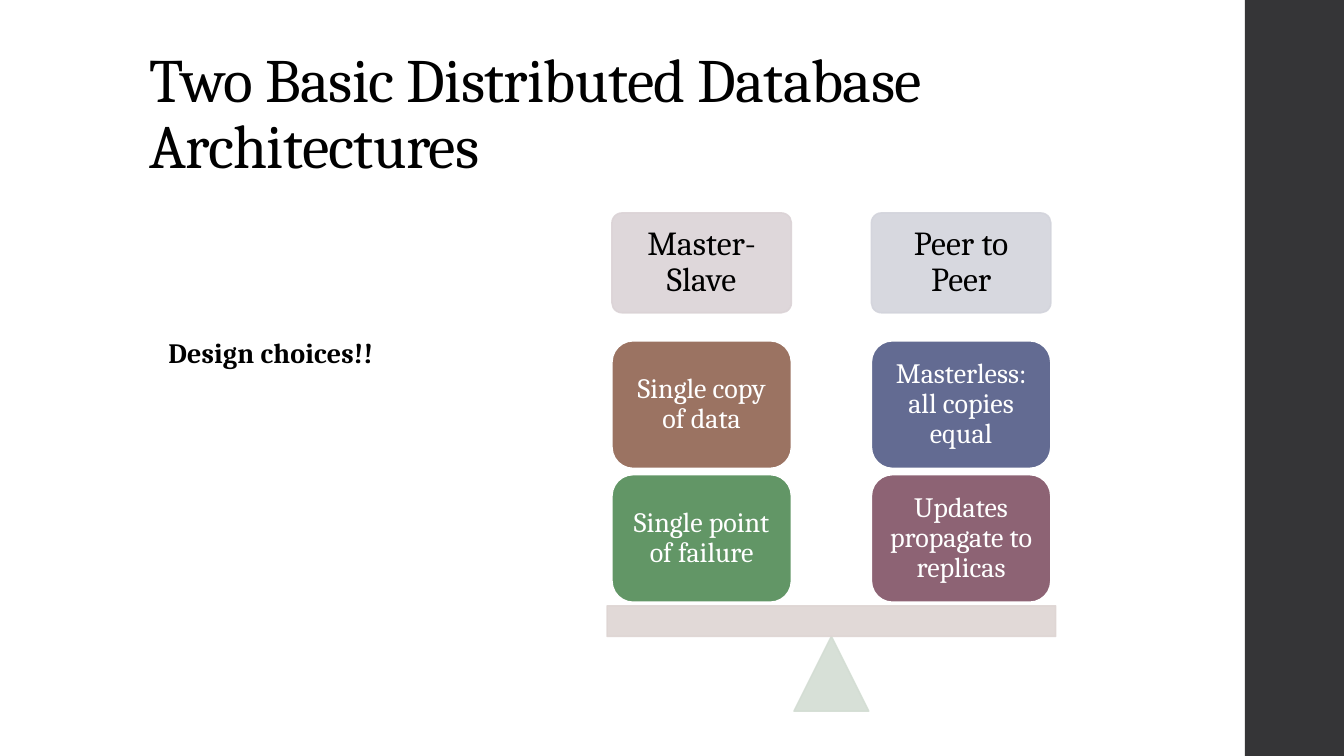
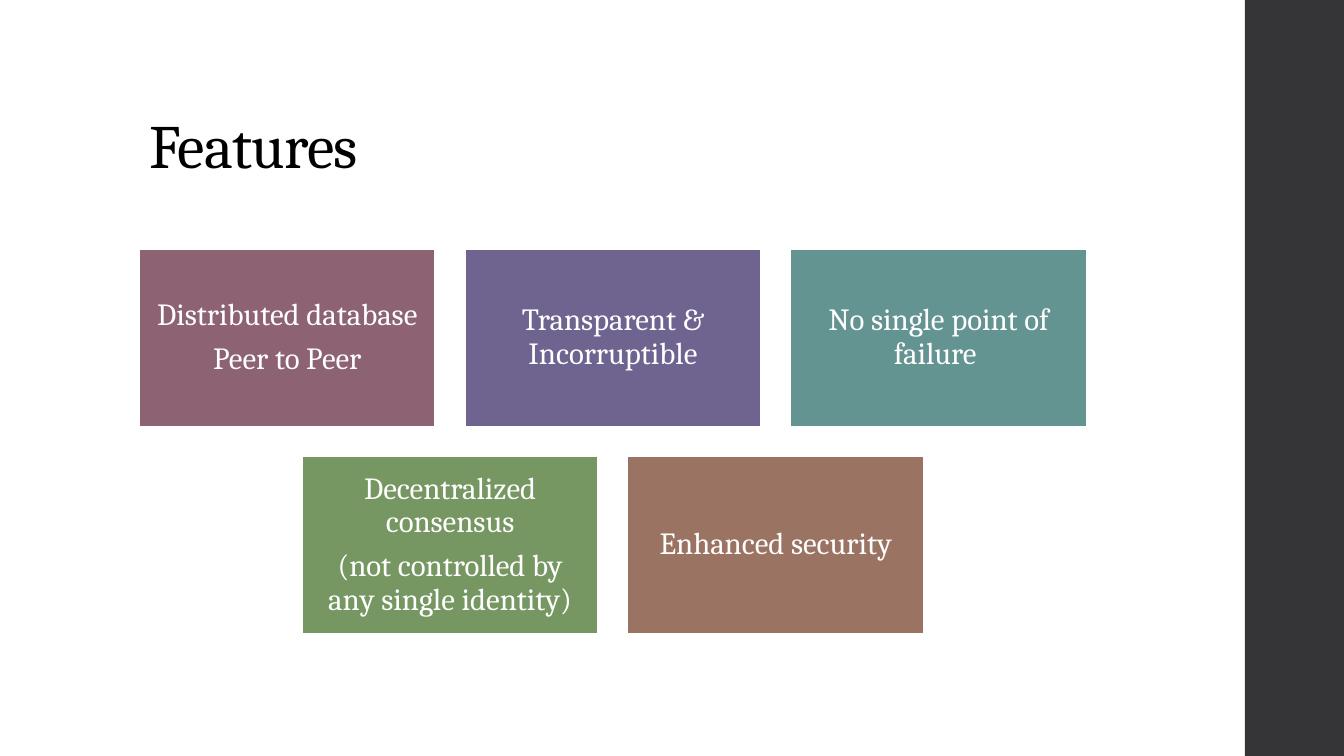
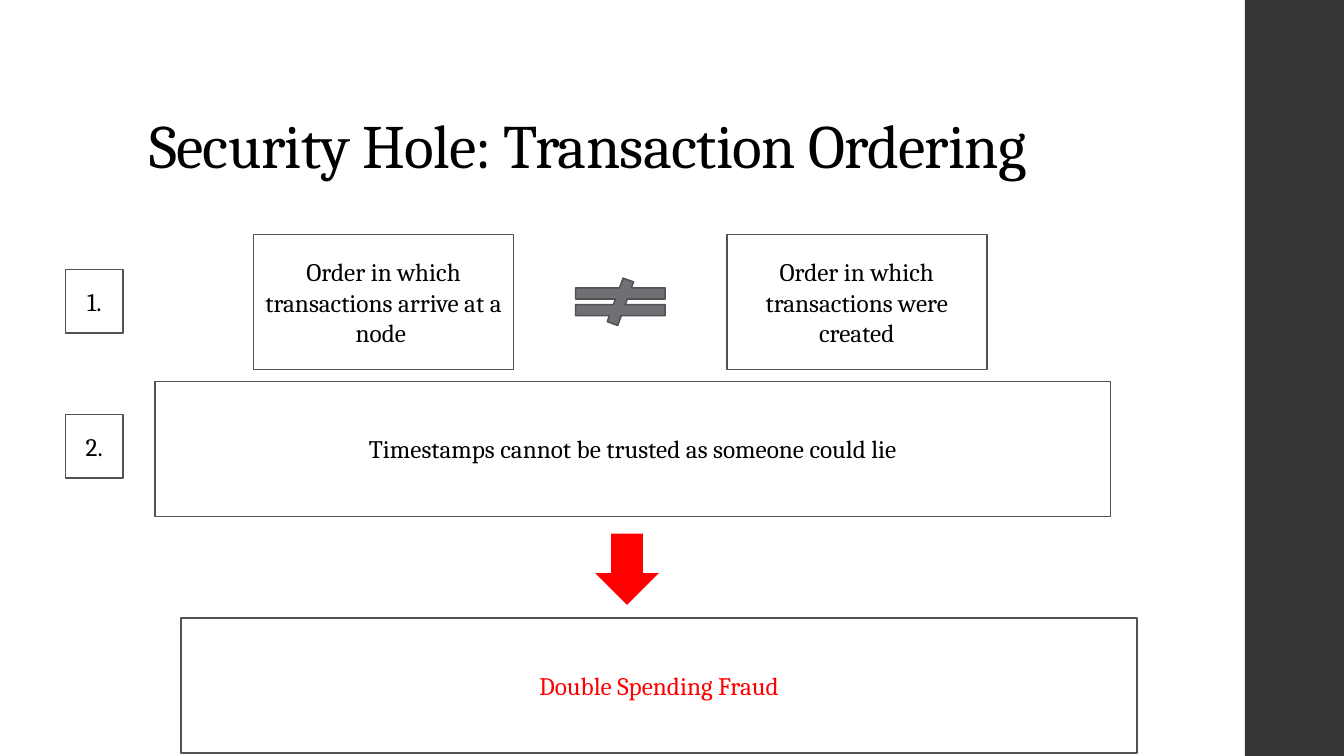
from dataclasses import dataclass

from lxml import etree
from pptx import Presentation
from pptx.dml.color import RGBColor
from pptx.enum.shapes import MSO_SHAPE
from pptx.enum.text import MSO_ANCHOR, MSO_AUTO_SIZE, PP_ALIGN
from pptx.oxml.ns import qn
from pptx.presentation import Presentation as Deck
from pptx.shapes.autoshape import Shape
from pptx.slide import Slide
from pptx.text.text import _Paragraph as Paragraph
from pptx.util import Pt

RECTANGLE = MSO_SHAPE.RECTANGLE
ROUNDED = MSO_SHAPE.ROUNDED_RECTANGLE
TRIANGLE = MSO_SHAPE.ISOSCELES_TRIANGLE
NOT_EQUAL = MSO_SHAPE.MATH_NOT_EQUAL
DOWN_ARROW = MSO_SHAPE.DOWN_ARROW
CENTER = PP_ALIGN.CENTER
LEFT = PP_ALIGN.LEFT
MIDDLE = MSO_ANCHOR.MIDDLE
TOP = MSO_ANCHOR.TOP
BOTTOM = MSO_ANCHOR.BOTTOM
NO_AUTOFIT = MSO_AUTO_SIZE.NONE

TITLE_ONLY_LAYOUT = 5
TITLE_AND_BODY_LAYOUT = 1


@dataclass(frozen=True)
class Theme:
    font: str = "Cambria"
    black: str = "000000"
    white: str = "FFFFFF"
    band: str = "353537"
    outline: str = "525256"
    gray: str = "6F6F74"
    red: str = "FF0000"
    plum: str = "8D6374"
    indigo: str = "636B92"
    violet: str = "6F6390"
    teal: str = "639491"
    green: str = "629666"
    olive: str = "769762"
    brown: str = "9B7362"
    pale_plum: str = "DBD3D6"
    pale_indigo: str = "D3D4DC"
    pale_green: str = "D3DDD3"
    pale_brown: str = "DED5D3"
    title_size: float = 44
    heading_size: float = 24
    feature_size: float = 22
    body_size: float = 20
    label_size: float = 18
    line_width: float = 1.1


THEME = Theme()


@dataclass(frozen=True)
class Area:
    """A rectangle in points."""
    left: float
    top: float
    width: float
    height: float


@dataclass(frozen=True)
class BoxStyle:
    preset: MSO_SHAPE = RECTANGLE
    fill: str | None = None
    line: str | None = None
    opacity: int = 100
    corner: float | None = None


@dataclass(frozen=True)
class TextStyle:
    size: float
    color: str = THEME.black
    bold: bool = False
    align: PP_ALIGN = CENTER
    line_spacing: float = 1.0
    space_before: float = 0
    space_after: float = 0
    tracking: float = 0


@dataclass(frozen=True)
class Column:
    heading: str
    heading_fill: str
    cards: tuple[tuple[str, str], ...]


@dataclass(frozen=True)
class Feature:
    text: str
    fill: str


TITLE_TEXT = TextStyle(THEME.title_size, align=LEFT, line_spacing=0.9, tracking=-0.5)
NOTE_TEXT = TextStyle(THEME.body_size, bold=True, align=LEFT, line_spacing=0.95,
                      space_before=14, space_after=2, tracking=0.1)
HEADING_TEXT = TextStyle(THEME.heading_size, line_spacing=0.9)
CARD_TEXT = TextStyle(THEME.body_size, THEME.white, line_spacing=0.9)
FEATURE_TEXT = TextStyle(THEME.feature_size, THEME.white, line_spacing=0.9, space_after=7.7)
LABEL_TEXT = TextStyle(THEME.label_size)
ALERT_TEXT = TextStyle(THEME.label_size, THEME.red)
OUTLINED = BoxStyle(line=THEME.outline)

SLIDE_AREA = Area(0, 0, 960, 540)
BAND_AREA = Area(889.2, 0, 70.8, 540)
TITLE_AREA = Area(99.4, 29.1, 763.2, 104.4)

COLUMNS = (
    Column("Master-Slave", THEME.pale_plum,
           (("Single copy of data", THEME.brown),
            ("Single point of failure", THEME.green))),
    Column("Peer to Peer", THEME.pale_indigo,
           (("Masterless: all copies equal", THEME.indigo),
            ("Updates propagate to replicas", THEME.plum))),
)

FEATURE_ROWS = (
    (Feature("Distributed database\nPeer to Peer", THEME.plum),
     Feature("Transparent & Incorruptible", THEME.violet),
     Feature("No single point of failure ", THEME.teal)),
    (Feature("Decentralized consensus\n(not controlled by any single identity)", THEME.olive),
     Feature("Enhanced security", THEME.brown)),
)


def place(shape: Shape, area: Area) -> None:
    shape.left, shape.top = Pt(area.left), Pt(area.top)
    shape.width, shape.height = Pt(area.width), Pt(area.height)


def format_paragraph(paragraph: Paragraph, style: TextStyle) -> None:
    paragraph.alignment = style.align
    paragraph.line_spacing = style.line_spacing
    paragraph.space_before = Pt(style.space_before)
    paragraph.space_after = Pt(style.space_after)
    for run in paragraph.runs:
        run.font.name = THEME.font
        run.font.size = Pt(style.size)
        run.font.bold = style.bold
        run.font.color.rgb = RGBColor.from_string(style.color)
        if style.tracking:
            run.font._element.set("spc", str(round(style.tracking * 100)))


def write_text(shape: Shape, text: str, style: TextStyle,
               anchor: MSO_ANCHOR = MIDDLE, inset: float | None = None) -> None:
    """Set and format the text; an inset of None keeps the default margins."""
    frame = shape.text_frame
    frame.text = text
    frame.word_wrap = True
    frame.auto_size = NO_AUTOFIT
    frame.vertical_anchor = anchor
    if inset is not None:
        frame.margin_left = frame.margin_right = Pt(inset)
        frame.margin_top = frame.margin_bottom = Pt(inset)
    for paragraph in frame.paragraphs:
        format_paragraph(paragraph, style)


def set_opacity(shape: Shape, percent: int) -> None:
    """Apply one opacity to the fill and the line."""
    for color in shape.element.spPr.iter(qn("a:srgbClr")):
        etree.SubElement(color, qn("a:alpha")).set("val", str(percent * 1000))


def add_box(slide: Slide, area: Area, style: BoxStyle) -> Shape:
    shape = slide.shapes.add_shape(style.preset, Pt(area.left), Pt(area.top),
                                   Pt(area.width), Pt(area.height))
    shape.shadow.inherit = False
    if style.corner is not None:
        shape.adjustments[0] = style.corner
    if style.fill:
        shape.fill.solid()
        shape.fill.fore_color.rgb = RGBColor.from_string(style.fill)
    else:
        shape.fill.background()
    if style.line:
        shape.line.color.rgb = RGBColor.from_string(style.line)
        shape.line.width = Pt(THEME.line_width)
    else:
        shape.line.fill.background()
    if style.opacity < 100:
        set_opacity(shape, style.opacity)
    return shape


def tinted(color: str, preset: MSO_SHAPE = RECTANGLE, corner: float | None = None) -> BoxStyle:
    return BoxStyle(preset, color, color, 90, corner)


def add_titled_slide(presentation: Deck, title: str, layout: int = TITLE_ONLY_LAYOUT) -> Slide:
    """Add a slide with the shared side band and title style."""
    slide = presentation.slides.add_slide(presentation.slide_layouts[layout])
    add_box(slide, BAND_AREA, BoxStyle(fill=THEME.band))
    place(slide.shapes.title, TITLE_AREA)
    write_text(slide.shapes.title, title, TITLE_TEXT, BOTTOM)
    return slide


def add_design_note(slide: Slide) -> None:
    note = slide.placeholders[1]
    place(note, Area(113, 237.9, 202.3, 33.8))
    write_text(note, "Design choices!!", NOTE_TEXT, TOP)
    properties = note.text_frame.paragraphs[0]._p.get_or_add_pPr()
    properties.set("marL", "0")
    properties.set("indent", "0")
    etree.SubElement(properties, qn("a:buNone"))


def add_balance(slide: Slide) -> None:
    """Draw the two stacks of cards on a beam and its fulcrum."""
    left, width, column_pitch = 437.1, 128.2, 185.3
    heading_top, heading_height = 152.1, 71.3
    card_top, card_height, card_pitch = 243.4, 91.2, 95.6
    beam_width, beam_top, beam_height = 320.4, 432.7, 21.9
    fulcrum_size = 53.4
    center = left + (column_pitch + width) / 2

    add_box(slide, Area(center - fulcrum_size / 2, beam_top + beam_height,
                        fulcrum_size, fulcrum_size), tinted(THEME.pale_green, TRIANGLE))
    add_box(slide, Area(center - beam_width / 2, beam_top, beam_width, beam_height),
            tinted(THEME.pale_brown))
    for index, column in enumerate(COLUMNS):
        column_left = left + index * column_pitch
        heading = add_box(slide, Area(column_left, heading_top, width, heading_height),
                          tinted(column.heading_fill, ROUNDED, 0.1))
        write_text(heading, column.heading, HEADING_TEXT, inset=7.2)
        for row, (text, fill) in enumerate(column.cards):
            area = Area(column_left, card_top + row * card_pitch, width, card_height)
            card = add_box(slide, area, BoxStyle(ROUNDED, fill, THEME.white))
            write_text(card, text, CARD_TEXT, inset=6)


def add_feature_grid(slide: Slide) -> None:
    """Draw each row of tiles centred on the same axis."""
    width, height, gap = 211.5, 126.9, 21.1
    center, top = 437.8, 177.7
    for row, features in enumerate(FEATURE_ROWS):
        row_width = len(features) * (width + gap) - gap
        for index, feature in enumerate(features):
            area = Area(center - row_width / 2 + index * (width + gap),
                        top + row * (height + gap), width, height)
            tile = add_box(slide, area, BoxStyle(fill=feature.fill, line=THEME.white))
            write_text(tile, feature.text, FEATURE_TEXT, inset=6.6)


def add_ordering_argument(slide: Slide) -> None:
    height, order_width, wide_width = 96.4, 185.8, 682.6
    order_top = 167.5
    boxes = (
        (Area(181.1, order_top, order_width, height),
         "Order in which transactions arrive at a node ", LABEL_TEXT),
        (Area(519.1, order_top, order_width, height),
         "Order in which transactions were created", LABEL_TEXT),
        (Area(46.9, 192.4, 41, 45.6), "1.", LABEL_TEXT),
        (Area(46.8, 296, 41, 45.6), "2.", LABEL_TEXT),
        (Area(110.7, 272.4, wide_width, height),
         "Timestamps cannot be trusted as someone could lie", LABEL_TEXT),
        (Area(129.4, 441.4, wide_width, height), "Double Spending Fraud", ALERT_TEXT),
    )
    for area, text, style in boxes:
        write_text(add_box(slide, area, OUTLINED), text, style)
    add_box(slide, Area(399.6, 198.7, 87.1, 33.8),
            BoxStyle(NOT_EQUAL, THEME.gray, THEME.outline))
    add_box(slide, Area(425.2, 381.1, 45.4, 51), BoxStyle(DOWN_ARROW, THEME.red))


def main() -> None:
    presentation = Presentation()
    presentation.slide_width = Pt(SLIDE_AREA.width)
    presentation.slide_height = Pt(SLIDE_AREA.height)

    architectures = add_titled_slide(
        presentation, "Two Basic Distributed Database Architectures", TITLE_AND_BODY_LAYOUT)
    add_design_note(architectures)
    add_balance(architectures)

    add_feature_grid(add_titled_slide(presentation, "Features"))
    add_ordering_argument(
        add_titled_slide(presentation, "Security Hole: Transaction Ordering"))

    presentation.save("out.pptx")


if __name__ == "__main__":
    main()
